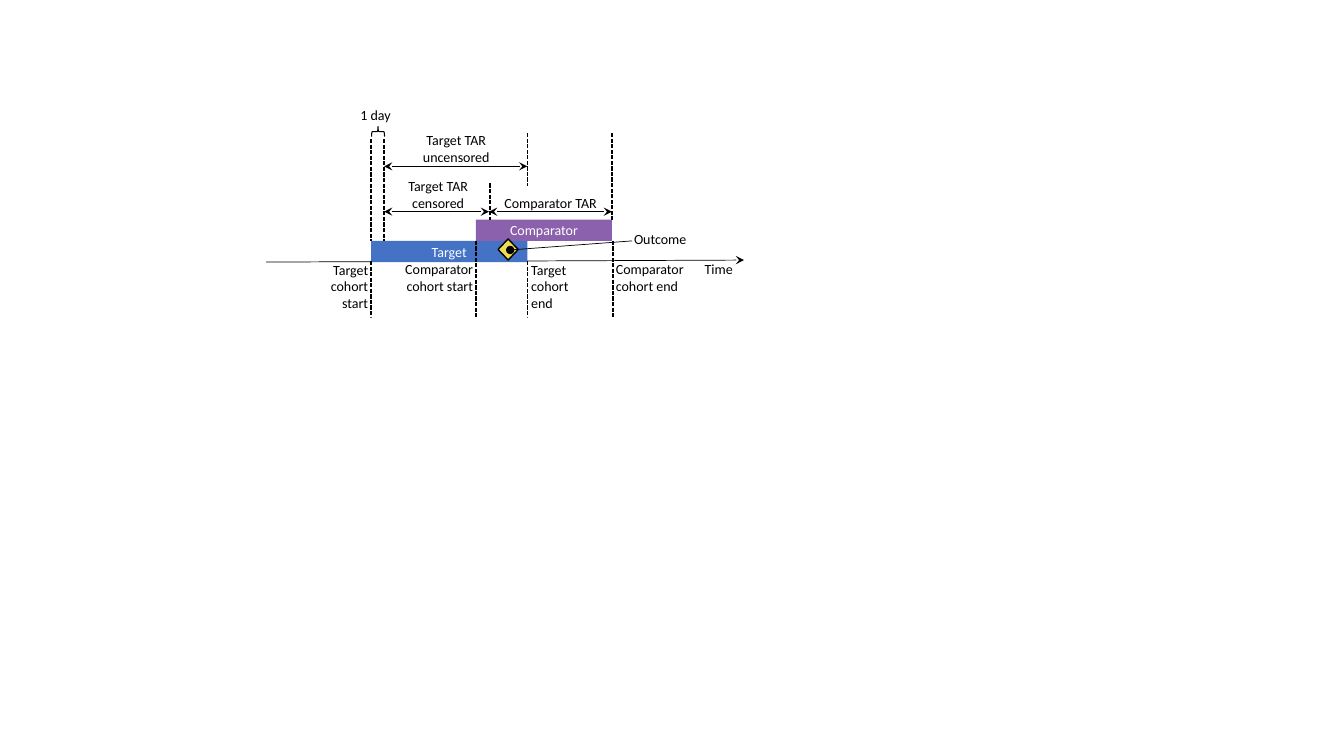
from lxml import etree
from pptx import Presentation
from pptx.dml.color import RGBColor
from pptx.enum.dml import MSO_LINE
from pptx.enum.shapes import MSO_CONNECTOR, MSO_SHAPE as SHAPE
from pptx.enum.text import MSO_ANCHOR, MSO_AUTO_SIZE, PP_ALIGN as ALIGN
from pptx.oxml.ns import qn
from pptx.util import Inches, Pt

BLACK, WHITE = "000000", "FFFFFF"


def rgb(value):
    return RGBColor.from_string(value)


def write(tf, text, color=BLACK, align=ALIGN.LEFT, size=10, font="Calibri"):
    p = tf.paragraphs[0]
    p.alignment = align
    r = p.add_run()
    r.text = text
    r.font.name = font
    r.font.size = Pt(size)
    r.font.color.rgb = rgb(color)


class Timeline:
    """Draws timeline elements on one slide in a shared style."""

    def __init__(self, slide, thin=0.5, thick=1):
        self.shapes = slide.shapes
        self.thin, self.thick = thin, thick

    def line(self, x1, y1, x2, y2, head=None, tail=None, dashed=False):
        s = self.shapes.add_connector(
            MSO_CONNECTOR.STRAIGHT, Inches(x1), Inches(y1), Inches(x2), Inches(y2))
        s.line.color.rgb = rgb(BLACK)
        s.line.width = Pt(self.thick if dashed else self.thin)
        if dashed:
            s.line.dash_style = MSO_LINE.SQUARE_DOT
        ln = s.line._get_or_add_ln()
        for tag, end in (("a:headEnd", head), ("a:tailEnd", tail)):
            if end:
                etree.SubElement(ln, qn(tag)).set("type", end)
        etree.SubElement(s._element.spPr, qn("a:effectLst"))

    def marker(self, x, y1, y2):
        self.line(x, y1, x, y2, dashed=True)

    def span(self, x1, x2, y):
        self.line(x1, y, x2, y, head="stealth", tail="stealth")

    def label(self, text, x, y, w, h, align=ALIGN.LEFT, wrap=True):
        tf = self.shapes.add_textbox(
            Inches(x), Inches(y), Inches(w), Inches(h)).text_frame
        tf.word_wrap = wrap
        tf.auto_size = MSO_AUTO_SIZE.SHAPE_TO_FIT_TEXT
        write(tf, text, align=align)

    def shape(self, kind, x, y, w, h, fill=None, outline=None, text=None, rotation=0):
        sp = self.shapes.add_shape(kind, Inches(x), Inches(y), Inches(w), Inches(h))
        sp.shadow.inherit = False
        sp.rotation = rotation
        if fill:
            sp.fill.solid()
            sp.fill.fore_color.rgb = rgb(fill)
        else:
            sp.fill.background()
        if outline:
            sp.line.color.rgb = rgb(BLACK)
            sp.line.width = Pt(outline)
        else:
            sp.line.fill.background()
        if text:
            sp.text_frame.vertical_anchor = MSO_ANCHOR.MIDDLE
            write(sp.text_frame, text, color=WHITE, align=ALIGN.CENTER)


def main():
    prs = Presentation()
    prs.slide_width, prs.slide_height = Inches(13.33), Inches(7.5)
    s = Timeline(prs.slides.add_slide(prs.slide_layouts[6]))

    # Key moments along the time axis
    target_start, target_end = 3.68, 5.23
    comparator_start, comparator_end = 4.72, 6.07
    risk_start, censoring = 3.81, 4.85
    bar_h, target_top, comparator_top = 0.21, 2.39, 2.18

    # Time axis
    s.line(2.64, 2.6, 7.38, 2.58, tail="stealth")
    s.label("Time", 6.89, 2.54, 0.48, 0.27, wrap=False)

    # Cohort bars
    s.shape(SHAPE.RECTANGLE, target_start, target_top, target_end - target_start,
            bar_h, fill="4472C4", text="Target")
    s.shape(SHAPE.RECTANGLE, comparator_start, comparator_top,
            comparator_end - comparator_start, bar_h, fill="8B60AC", text="Comparator")

    # Dashed markers below and above the bars
    for x, top, bottom in (
            (target_start, 2.59, 3.23), (comparator_start, target_top, 3.2),
            (target_end, 2.59, 3.2), (comparator_end + 0.01, target_top, 3.23),
            (target_start, 1.38, target_top), (risk_start, 1.38, target_top),
            (target_end, 1.32, 1.85), (censoring + 0.01, 1.82, comparator_top),
            (comparator_end, 1.32, comparator_top)):
        s.marker(x, top, bottom)

    # Cohort start and end labels
    for text, x, w, h, align in (
            ("Target cohort start", 3.08, 0.67, 0.61, ALIGN.RIGHT),
            ("Comparator cohort start", 3.88, 0.91, 0.44, ALIGN.RIGHT),
            ("Target cohort end", 5.17, 0.67, 0.61, ALIGN.LEFT),
            ("Comparator cohort end", 6.01, 0.91, 0.44, ALIGN.LEFT)):
        s.label(text, x, 2.54, w, h, align)

    # Time-at-risk spans
    s.span(risk_start, target_end, 1.65)
    s.span(risk_start, censoring, 2.1)
    s.span(censoring, comparator_end, 2.1)
    for text, x, y, w, h in (
            ("Target TAR uncensored", 4, 1.26, 1.05, 0.44),
            ("Target TAR censored", 3.82, 1.71, 1.05, 0.44),
            ("Comparator TAR", 4.85, 1.88, 1.22, 0.27),
            ("1 day", 3.44, 1.01, 0.57, 0.27)):
        s.label(text, x, y, w, h, ALIGN.CENTER)
    s.shape(SHAPE.RIGHT_BRACE, 3.7, 1.24, 0.1, 0.13, outline=0.75, rotation=270)

    # Outcome
    s.shape(SHAPE.FLOWCHART_DECISION, 4.94, 2.37, 0.2, 0.21, fill="EEDC54", outline=1)
    s.line(6.27, 2.39, 5.06, 2.48, tail="oval")
    s.label("Outcome", 6.19, 2.24, 0.73, 0.27, wrap=False)

    # White strip trims the lower markers to one level
    s.shape(SHAPE.RECTANGLE, 3.44, 3.15, 2.92, 0.09, fill=WHITE)

    prs.save("out.pptx")


if __name__ == "__main__":
    main()
